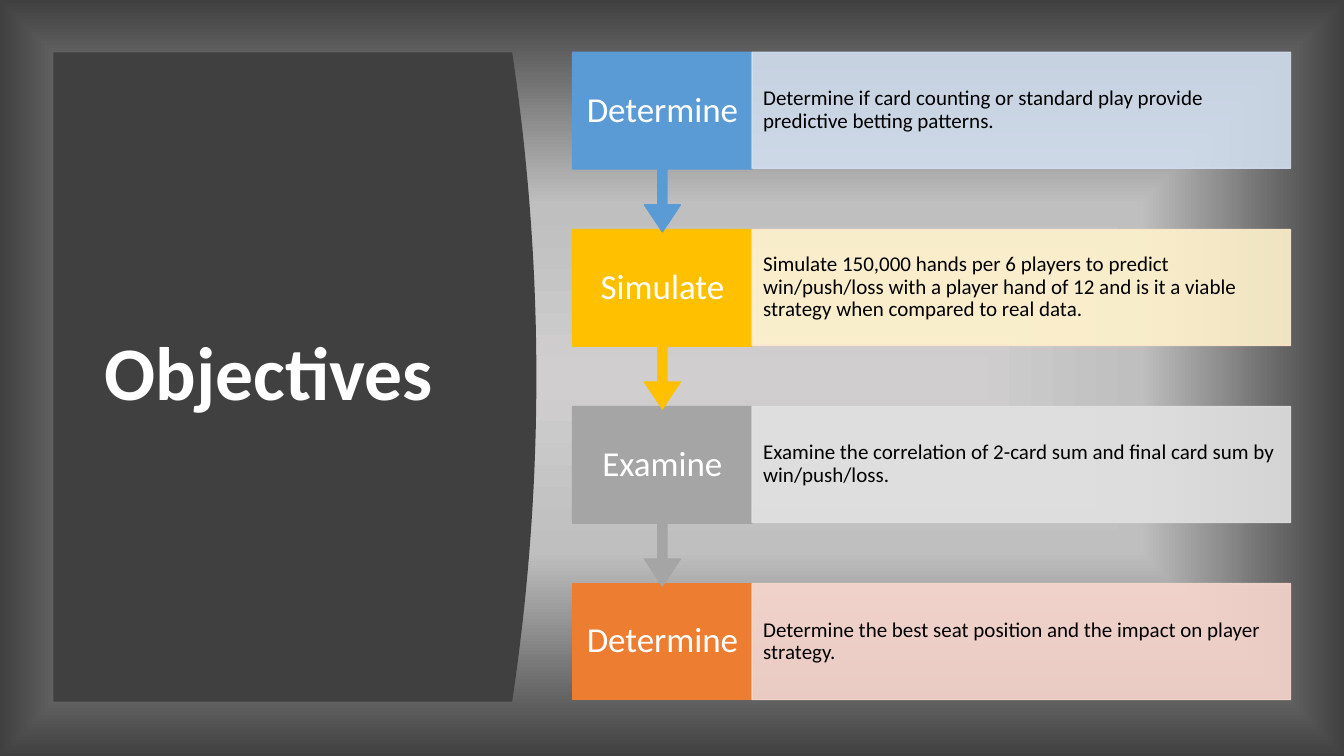
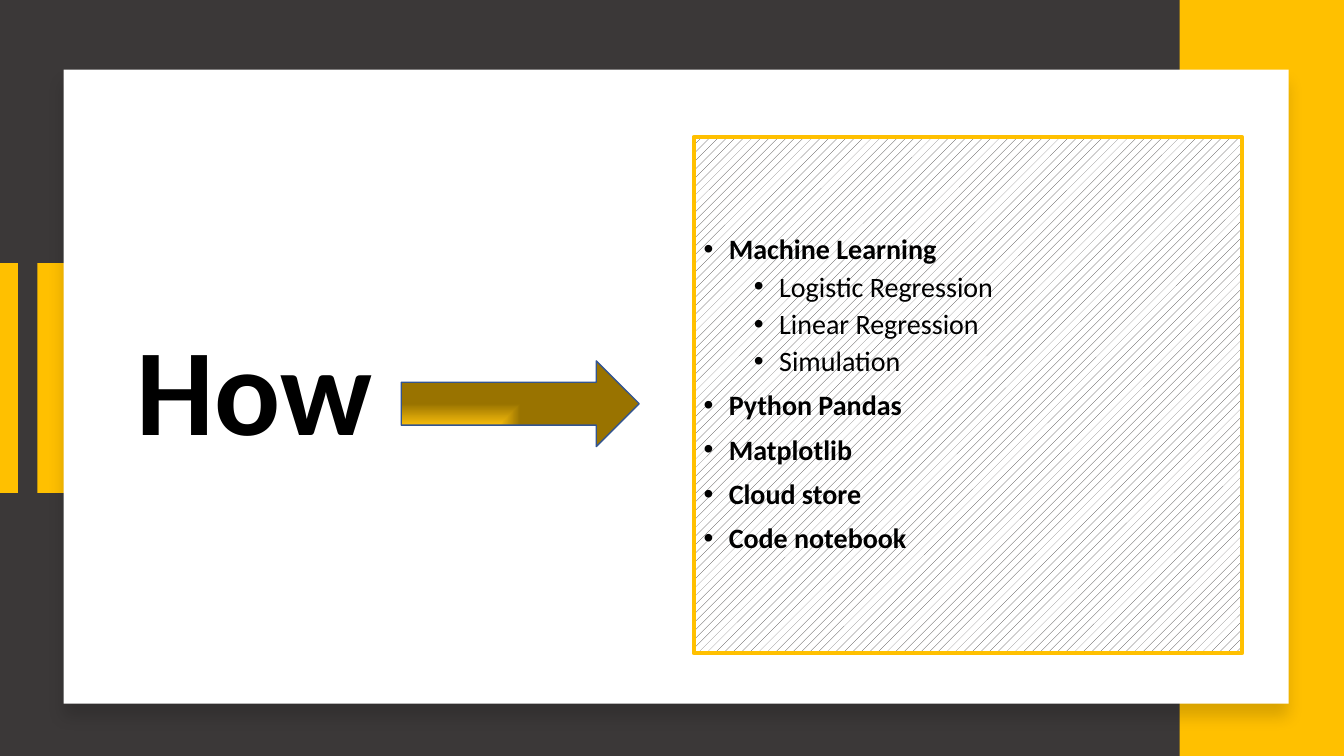
from lxml.etree import SubElement
from pptx import Presentation
from pptx.dml.color import RGBColor
from pptx.enum.dml import MSO_PATTERN
from pptx.enum.shapes import MSO_CONNECTOR, MSO_SHAPE
from pptx.enum.text import MSO_ANCHOR, PP_ALIGN
from pptx.oxml.ns import qn
from pptx.util import Inches, Pt

FONT = "Calibri"
BLACK, WHITE = "000000", "FFFFFF"
DARK, CHARCOAL, GOLD = "404040", "3B3838", "FFC000"

# label, label colour, description, description fill, description line
STEPS = [
    ("Determine", "5B9BD5",
     "Determine if card counting or standard play provide predictive betting patterns.",
     "D2DEEF", "D2DEEF"),
    ("Simulate", GOLD,
     "Simulate 150,000 hands per 6 players to predict win/push/loss with a player hand "
     "of 12 and is it a viable strategy when compared to real data.",
     "FFF2CC", "FFE8CC"),
    ("Examine", "A5A5A5",
     "Examine the correlation of 2-card sum and final card sum by win/push/loss.",
     "E1E1E1", "E1E1E1"),
    ("Determine", "ED7D31",
     "Determine the best seat position and the impact on player strategy.",
     "F8D7CE", "F8D7CE"),
]

# text, outline level
METHODS = [
    ("Machine Learning", 0),
    ("Logistic Regression", 1),
    ("Linear Regression", 1),
    ("Simulation", 1),
    ("Python Pandas", 0),
    ("Matplotlib", 0),
    ("Cloud store", 0),
    ("Code notebook", 0),
]


def rgb(value):
    return RGBColor.from_string(value)


# Fills, lines and effects
def paint(shape, fill=None, line=None, width=1):
    shape.shadow.inherit = False
    if fill:
        shape.fill.solid()
        shape.fill.fore_color.rgb = rgb(fill)
    if line:
        shape.line.color.rgb = rgb(line)
        shape.line.width = Pt(width)
    else:
        shape.line.fill.background()


def set_opacity(shape, percent):
    for color in list(shape._element.spPr.iter(qn("a:srgbClr"))):
        SubElement(color, qn("a:alpha"), val=str(percent * 1000))


def path_gradient(owner, fill, stops, kind, focus):
    """Fill with a gradient that spreads from the focus rectangle (percent)."""
    fill.gradient()
    gradient = next(owner._element.iter(qn("a:gradFill")))
    for child in list(gradient):
        gradient.remove(child)
    stop_list = SubElement(gradient, qn("a:gsLst"))
    for position, color in stops:
        stop = SubElement(stop_list, qn("a:gs"), pos=str(position * 1000))
        SubElement(stop, qn("a:srgbClr"), val=color)
    spread = SubElement(gradient, qn("a:path"))
    spread.set("path", kind)
    target = SubElement(spread, qn("a:fillToRect"))
    for side, percent in zip("ltrb", focus):
        target.set(side, str(percent * 1000))


def drop_shadow(shape, opacity, blur, distance):
    effects = shape._element.spPr.find(qn("a:effectLst"))
    shadow = SubElement(effects, qn("a:outerShdw"), blurRad=str(Pt(blur)),
                        dist=str(Pt(distance)), dir="5400000", algn="t", rotWithShape="0")
    color = SubElement(shadow, qn("a:srgbClr"), val=BLACK)
    SubElement(color, qn("a:alpha"), val=str(opacity * 1000))


# Shapes and text
def add_block(page, kind, left, top, width, height, fill=None, line=None, line_width=1):
    shape = page.shapes.add_shape(
        kind, Inches(left), Inches(top), Inches(width), Inches(height))
    paint(shape, fill, line, line_width)
    return shape


def set_frame(frame, side=0.1, edge=0.05):
    frame.word_wrap = True
    frame.vertical_anchor = MSO_ANCHOR.MIDDLE
    frame.margin_left = frame.margin_right = Inches(side)
    frame.margin_top = frame.margin_bottom = Inches(edge)


def write(para, text, size, color, bold=False, align=PP_ALIGN.LEFT):
    para.alignment = align
    para.line_spacing = 0.9
    span = para.add_run()
    span.text = text
    span.font.name = FONT
    span.font.size = Pt(size)
    span.font.bold = bold
    span.font.color.rgb = rgb(color)


def add_bullet(para, level):
    para.level = level
    properties = para._p.get_or_add_pPr()
    properties.set("marL", str(Inches(0.25 + 0.5 * level)))
    properties.set("indent", str(Inches(-0.25)))
    SubElement(properties, qn("a:buFont"), typeface="Arial")
    SubElement(properties, qn("a:buChar"), char="•")


def add_title(page, text, left, top, width, height, size, color):
    box = page.shapes.add_textbox(
        Inches(left), Inches(top), Inches(width), Inches(height))
    set_frame(box.text_frame)
    write(box.text_frame.paragraphs[0], text, size, color, bold=True)


def add_curved_panel(page, left, top, right, bottom, bulge):
    """Panel whose right edge bows outwards."""
    count = 40
    edge = []
    for index in range(1, count + 1):
        offset = 2 * index / count - 1
        edge.append((Inches(right + bulge * (1 - offset ** 2)),
                     Inches(top + (bottom - top) * index / count)))
    builder = page.shapes.build_freeform(Inches(left), Inches(top))
    builder.add_line_segments(
        [(Inches(right), Inches(top)), *edge, (Inches(left), Inches(bottom))], close=True)
    paint(builder.convert_to_shape(), DARK)


def add_step(page, step, top, is_last):
    label, color, description, tint, tint_line = step
    left, label_width, text_width, row_height = 5.68, 1.78, 5.34, 1.15
    if is_last:
        head = add_block(page, MSO_SHAPE.RECTANGLE, left, top,
                         label_width, row_height, color, color)
    else:
        head = add_block(page, MSO_SHAPE.DOWN_ARROW_CALLOUT, left, top,
                         label_width, 1.78, color, color)
        for index, value in enumerate((0.05, 0.1, 0.15, 0.65)):
            head.adjustments[index] = value
    set_frame(head.text_frame, 0.13, 0.19)
    write(head.text_frame.paragraphs[0], label, 25, WHITE, align=PP_ALIGN.CENTER)

    body = add_block(page, MSO_SHAPE.RECTANGLE, left + label_width, top,
                     text_width, row_height, tint, tint_line)
    set_opacity(body, 90)
    set_frame(body.text_frame, 0.11, 0.21)
    write(body.text_frame.paragraphs[0], description, 15, BLACK)


# Slides
def build_objectives(page):
    path_gradient(page, page.background.fill,
                  [(0, "D0CECE"), (46, "BFBFBF"), (100, DARK)], "shape", (50, 50, 50, 50))
    add_curved_panel(page, 0.53, 0.52, 5.08, 6.96, 0.24)
    add_title(page, "Objectives", 0.94, 1.11, 3.74, 5.24, 54, WHITE)

    # Bottom row first, so each arrow tip lies over the next row
    first_top, last_top = 0.52, 5.79
    last = len(STEPS) - 1
    for index in reversed(range(len(STEPS))):
        top = first_top + (last_top - first_top) * index / last
        add_step(page, STEPS[index], top, index == last)


def build_how(page):
    page.background.fill.solid()
    page.background.fill.fore_color.rgb = rgb(CHARCOAL)

    # Gold accents and white card
    add_block(page, MSO_SHAPE.RECTANGLE, 0.37, 2.61, 0.34, 2.28, GOLD)
    bar = page.shapes.add_connector(
        MSO_CONNECTOR.STRAIGHT, Inches(0.08), Inches(2.61), Inches(0.08), Inches(4.89))
    bar.line.color.rgb = rgb(GOLD)
    bar.line.width = Pt(14)
    SubElement(bar._element.spPr, qn("a:effectLst"))
    add_block(page, MSO_SHAPE.RECTANGLE, 11.7, 0, 1.63, 7.5, GOLD)
    card = add_block(page, MSO_SHAPE.RECTANGLE, 0.63, 0.69, 12.15, 6.29, WHITE)
    drop_shadow(card, opacity=15, blur=11, distance=10)
    add_title(page, "How", 1.26, 1.36, 4.38, 5.12, 88, BLACK)

    # Hatched list of methods
    panel = add_block(page, MSO_SHAPE.RECTANGLE, 6.88, 1.36, 5.44, 5.12,
                      line=GOLD, line_width=3)
    panel.fill.patterned()
    panel.fill.pattern = MSO_PATTERN.PERCENT_20
    panel.fill.fore_color.rgb = rgb(CHARCOAL)
    panel.fill.back_color.rgb = rgb(WHITE)
    frame = panel.text_frame
    set_frame(frame)
    for index, (text, level) in enumerate(METHODS):
        para = frame.add_paragraph() if index else frame.paragraphs[0]
        add_bullet(para, level)
        if index:
            para.space_before = Pt(5 if level else 10)
        write(para, text, 20, BLACK, bold=level == 0)

    # Arrow from title to list
    arrow = add_block(page, MSO_SHAPE.RIGHT_ARROW, 3.98, 3.58, 2.36, 0.85, line="325491")
    path_gradient(arrow, arrow.fill,
                  [(0, "FFE699"), (46, "FFC30D"), (100, "997300")], "rect", (0, 100, 100, 0))


def main():
    deck = Presentation()
    deck.slide_width = Inches(13.33)
    deck.slide_height = Inches(7.5)
    blank = deck.slide_layouts[6]
    for build in (build_objectives, build_how):
        build(deck.slides.add_slide(blank))
    deck.save("out.pptx")


if __name__ == "__main__":
    main()
